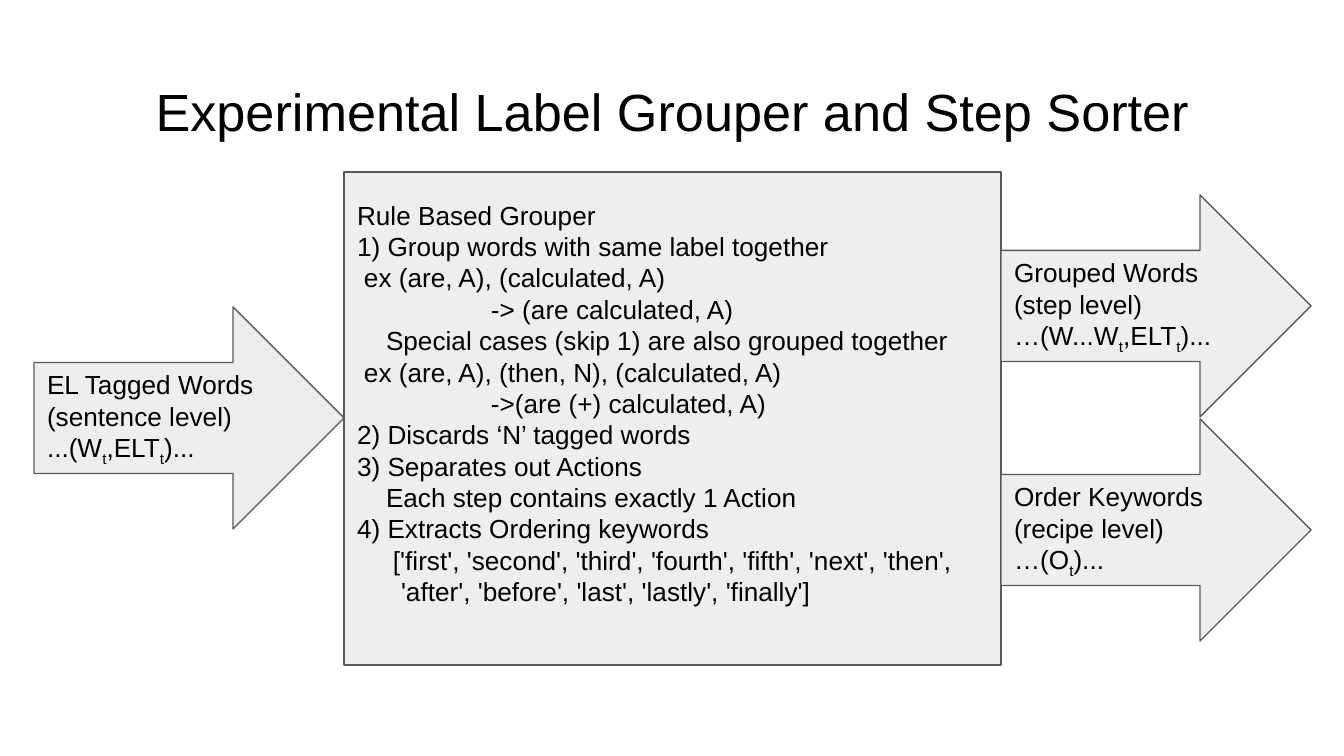
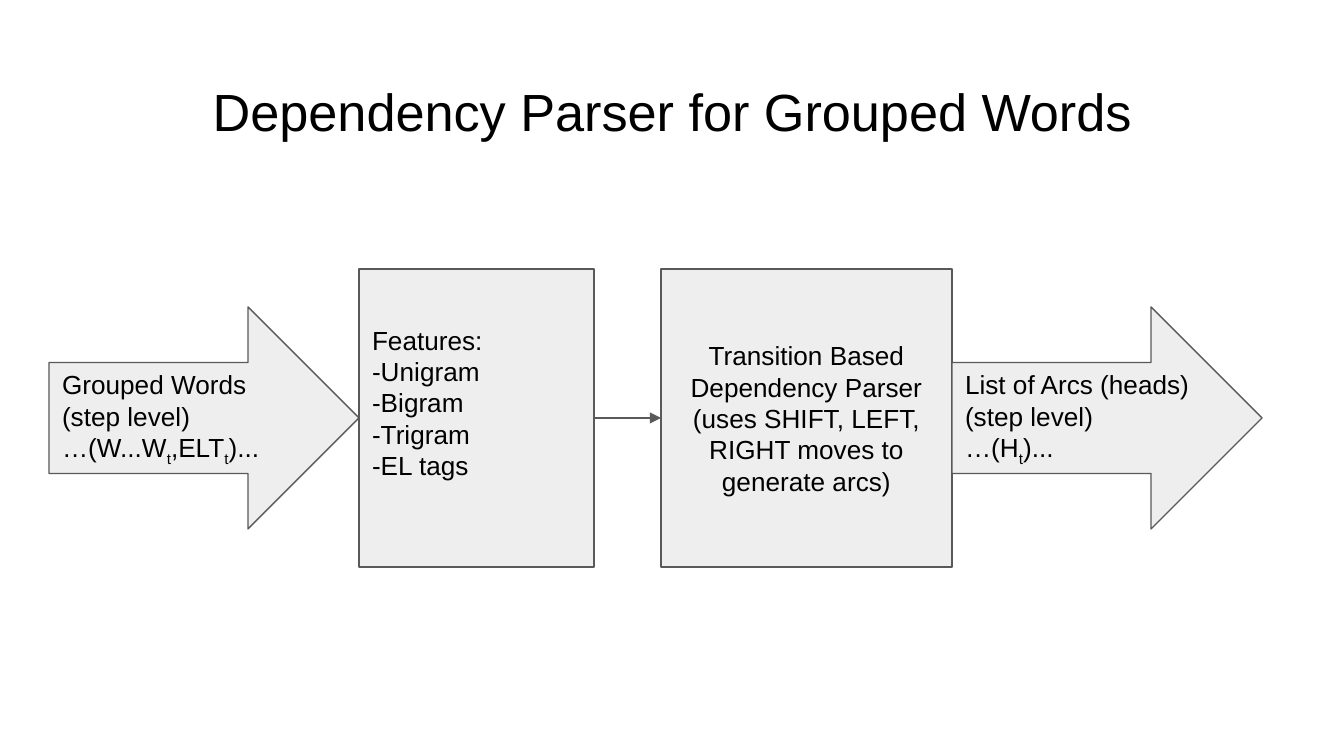
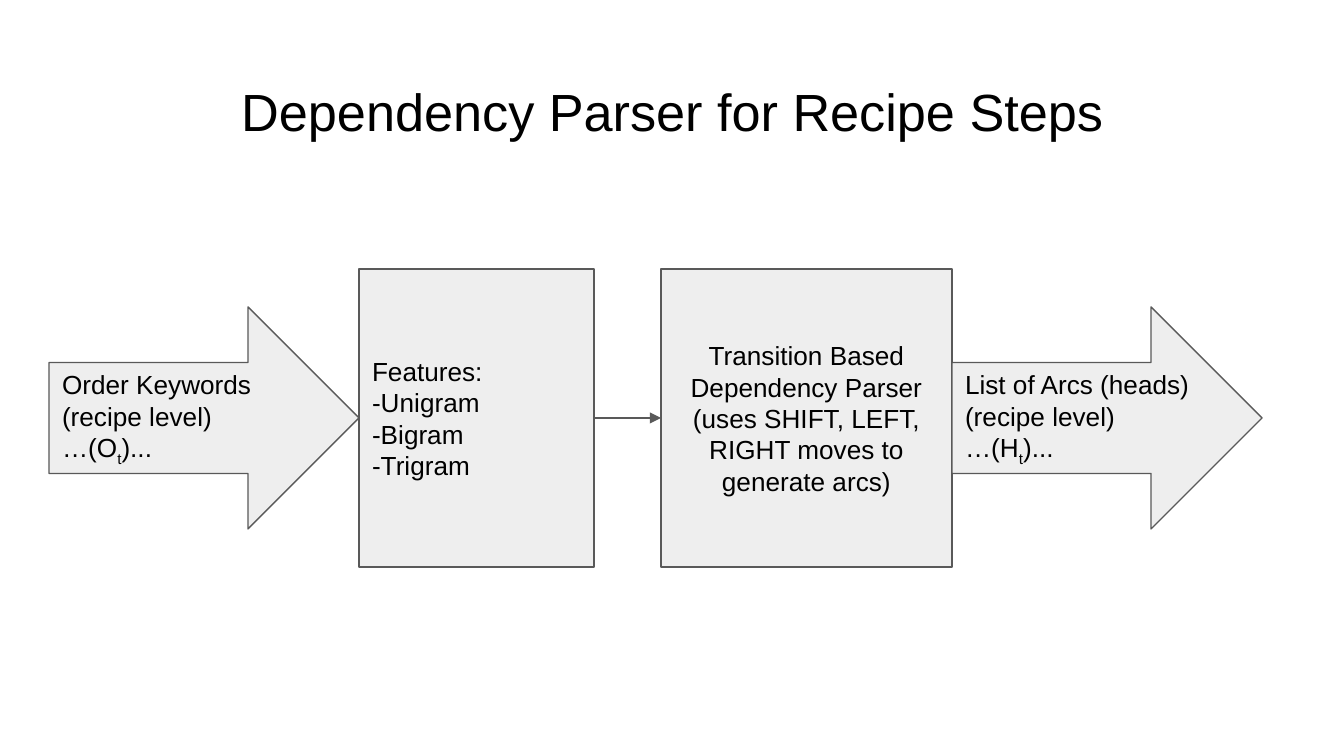
"""Build three slides showing the stages of a recipe parser as flow diagrams."""
from dataclasses import dataclass

from lxml.etree import SubElement
from pptx import Presentation
from pptx.dml.color import RGBColor
from pptx.enum.shapes import MSO_CONNECTOR, MSO_SHAPE
from pptx.enum.text import MSO_ANCHOR, PP_ALIGN
from pptx.oxml.ns import qn
from pptx.shapes.autoshape import Shape
from pptx.slide import Slide
from pptx.text.text import TextFrame
from pptx.util import Emu, Pt

EMU_PER_PX = 914400 / 134.4
SLIDE_WIDTH, SLIDE_HEIGHT = 1344, 756
INK, PANEL, OUTLINE = "000000", "EEEEEE", "595959"
FONT = "Arial"
TITLE_SIZE, BODY_SIZE = 28, 14
INSET, LINE_HEIGHT = 13, 31
FLOW_Y = 418
ARROW_WIDTH, ARROW_HEIGHT = 310, 222


@dataclass(frozen=True)
class Line:
    """A paragraph; pieces between underscores are subscripts."""

    text: str
    indent: int = 0


@dataclass(frozen=True)
class Stage:
    """A box or arrow of the flow, centred on a height."""

    lines: tuple[Line, ...]
    left: int
    width: int = ARROW_WIDTH
    height: int = ARROW_HEIGHT
    middle: int = FLOW_Y
    preset: MSO_SHAPE = MSO_SHAPE.RIGHT_ARROW
    align: PP_ALIGN = PP_ALIGN.LEFT
    bottom_inset: int = INSET


@dataclass(frozen=True)
class ParserSlide:
    """The parts that differ between the dependency parser slides."""

    title: str
    source: tuple[Line, ...]
    features: tuple[Line, ...]
    level: str
    features_bottom: int = INSET


def px(length: int) -> Emu:
    """Turn pixels into EMU."""
    return Emu(round(length * EMU_PER_PX))


def color(hex_value: str) -> RGBColor:
    """Turn a hex string into a colour."""
    return RGBColor.from_string(hex_value)


def lines(*texts: str) -> tuple[Line, ...]:
    """Make unindented lines from texts."""
    return tuple(Line(text) for text in texts)


def write(frame: TextFrame, content: tuple[Line, ...], size: int,
          align: PP_ALIGN, bottom_inset: int = INSET) -> None:
    """Fill a text frame with styled paragraphs."""
    frame.word_wrap = True
    frame.margin_left = frame.margin_right = frame.margin_top = px(INSET)
    frame.margin_bottom = px(bottom_inset)
    for index, line in enumerate(content):
        paragraph = frame.paragraphs[0] if index == 0 else frame.add_paragraph()
        paragraph.alignment = align
        paragraph.font.name = FONT
        paragraph.font.size = Pt(size)
        paragraph.font.color.rgb = color(INK)
        if line.indent:
            paragraph._p.get_or_add_pPr().set("marL", str(px(line.indent)))
        if "_" not in line.text:
            paragraph.text = line.text
            continue
        for position, piece in enumerate(line.text.split("_")):
            run = paragraph.add_run()
            run.text = piece
            if position % 2:
                run.font._element.set("baseline", "-25000")


def add_title(slide: Slide, title: str) -> None:
    """Add the centred slide title."""
    box = slide.shapes.add_textbox(px(46), px(66), px(1252), px(85))
    write(box.text_frame, lines(title), TITLE_SIZE, PP_ALIGN.CENTER)


def add_stage(slide: Slide, stage: Stage) -> Shape:
    """Draw one stage of the flow."""
    top = stage.middle - stage.height // 2
    shape = slide.shapes.add_shape(
        stage.preset, px(stage.left), px(top), px(stage.width), px(stage.height))
    shape.shadow.inherit = False
    shape.fill.solid()
    shape.fill.fore_color.rgb = color(PANEL)
    shape.line.color.rgb = color(OUTLINE)
    shape.line.width = Pt(0.75)
    shape.text_frame.vertical_anchor = MSO_ANCHOR.MIDDLE
    write(shape.text_frame, stage.lines, BODY_SIZE, stage.align, stage.bottom_inset)
    return shape


def connect(slide: Slide, start: Shape, end: Shape) -> None:
    """Join the right side of one stage to the left side of another."""
    link = slide.shapes.add_connector(MSO_CONNECTOR.STRAIGHT, 0, 0, 0, 0)
    link.begin_connect(start, 3)
    link.end_connect(end, 1)
    link.line.color.rgb = color(OUTLINE)
    link.line.width = Pt(0.75)
    SubElement(link.line._get_or_add_ln(), qn("a:tailEnd"), type="triangle")
    SubElement(link._element.spPr, qn("a:effectLst"))


TAGGED_WORDS = lines("EL Tagged Words\n(sentence level)", "...(W_t_,ELT_t_)...")
GROUPED_WORDS = lines("Grouped Words\n(step level)", "…(W...W_t_,ELT_t_)...")
ORDER_KEYWORDS = lines("Order Keywords\n(recipe level)", "…(O_t_)...")
FEATURES = lines("Features:\n-Unigram", "-Bigram", "-Trigram")
TRANSITION_PARSER = lines("Transition Based Dependency Parser",
                          "(uses SHIFT, LEFT, RIGHT moves to generate arcs)")
GROUPER_RULES = (
    Line("Rule Based Grouper"),
    Line("1) Group words with same label together"),
    Line("ex (are, A), (calculated, A)", 7),
    Line("-> (are calculated, A)", 134),
    Line("Special cases (skip 1) are also grouped together", 29),
    Line("ex (are, A), (then, N), (calculated, A)", 7),
    Line("->(are (+) calculated, A)", 134),
    Line("2) Discards ‘N’ tagged words"),
    Line("3) Separates out Actions"),
    Line("Each step contains exactly 1 Action", 29),
    Line("4) Extracts Ordering keywords"),
    Line("['first', 'second', 'third', 'fourth', 'fifth', 'next', 'then',", 36),
    Line("'after', 'before', 'last', 'lastly', 'finally']", 44),
)
GROUPER_STAGES = (
    Stage(TAGGED_WORDS, 34),
    Stage(GROUPER_RULES, 344, 657, 493, preset=MSO_SHAPE.RECTANGLE,
          bottom_inset=INSET + LINE_HEIGHT),
    Stage(GROUPED_WORDS, 1001, middle=FLOW_Y - 112),
    Stage(ORDER_KEYWORDS, 1001, middle=FLOW_Y + 112),
)
PARSER_SLIDES = (
    ParserSlide("Dependency Parser for Grouped Words", GROUPED_WORDS,
                FEATURES + lines("-EL tags"), "step", INSET + LINE_HEIGHT),
    ParserSlide("Dependency Parser for Recipe Steps", ORDER_KEYWORDS,
                FEATURES, "recipe"),
)


def build_grouper(slide: Slide) -> None:
    """Draw the grouper with its input and two outputs."""
    add_title(slide, "Experimental Label Grouper and Step Sorter")
    for stage in GROUPER_STAGES:
        add_stage(slide, stage)


def build_parser(slide: Slide, content: ParserSlide) -> None:
    """Draw a dependency parser from its source to its arcs."""
    add_title(slide, content.title)
    add_stage(slide, Stage(content.source, 49))
    features = add_stage(slide, Stage(
        content.features, 359, 235, 298, preset=MSO_SHAPE.RECTANGLE,
        bottom_inset=content.features_bottom))
    parser = add_stage(slide, Stage(
        TRANSITION_PARSER, 661, 291, 298, preset=MSO_SHAPE.RECTANGLE,
        align=PP_ALIGN.CENTER))
    arcs = lines(f"List of Arcs (heads)\n({content.level} level)", "…(H_t_)...")
    add_stage(slide, Stage(arcs, 952))
    connect(slide, features, parser)


def main() -> None:
    """Build and save the presentation."""
    deck = Presentation()
    deck.slide_width, deck.slide_height = px(SLIDE_WIDTH), px(SLIDE_HEIGHT)
    blank = deck.slide_layouts[6]
    build_grouper(deck.slides.add_slide(blank))
    for content in PARSER_SLIDES:
        build_parser(deck.slides.add_slide(blank), content)
    deck.save("out.pptx")


if __name__ == "__main__":
    main()
